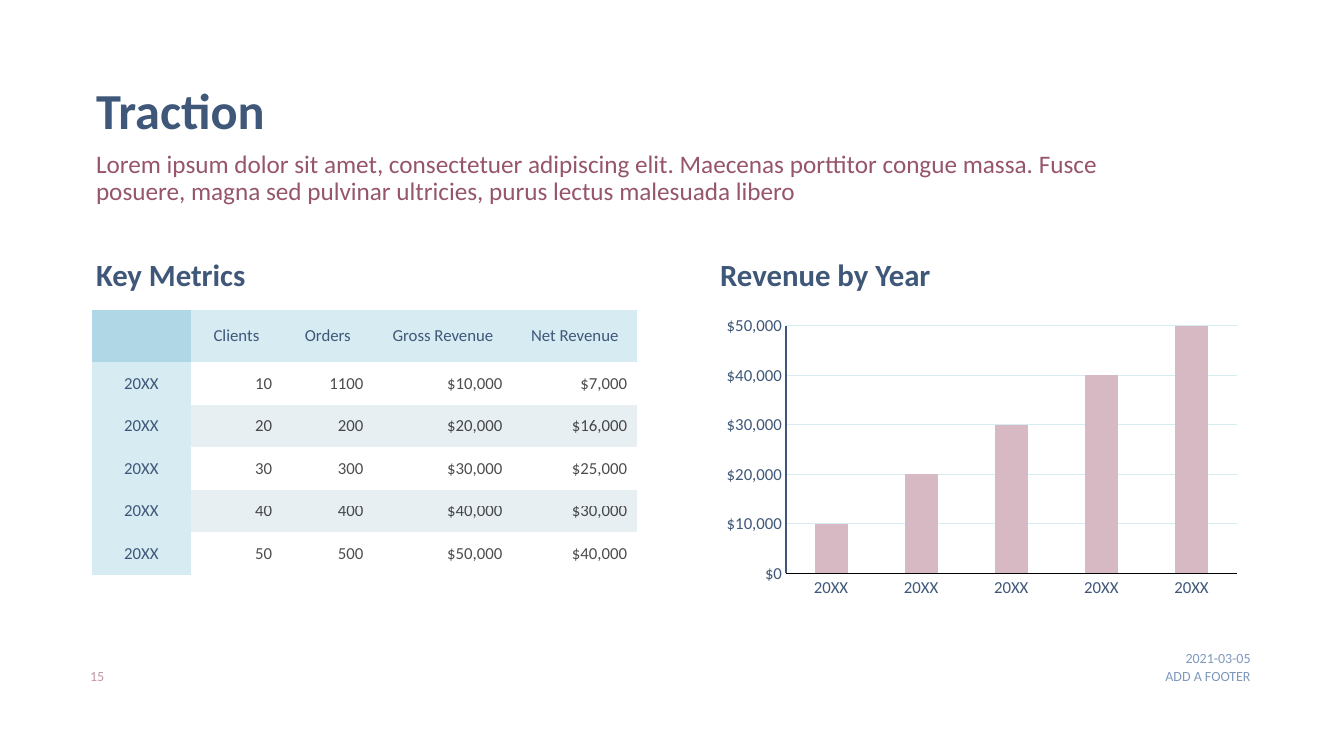
"""Build the Traction slide with its key metrics table and revenue chart."""
from dataclasses import dataclass
from typing import Any, Optional

import lxml.etree
import pptx
import pptx.chart.data
import pptx.dml.color
import pptx.enum.chart
import pptx.enum.text
import pptx.oxml.ns
import pptx.util

Pt = pptx.util.Pt
RGBColor = pptx.dml.color.RGBColor
Align = pptx.enum.text.PP_ALIGN
Anchor = pptx.enum.text.MSO_ANCHOR
qn = pptx.oxml.ns.qn

FONT = "Calibri"
NAVY = RGBColor(0x3F, 0x57, 0x79)
PLUM = RGBColor(0x96, 0x55, 0x6D)
ROSE = RGBColor(0xC3, 0x96, 0xA7)
STEEL = RGBColor(0x7E, 0x98, 0xBC)
BLACK = RGBColor(0, 0, 0)
WHITE = RGBColor(0xFF, 0xFF, 0xFF)
BROWN = RGBColor(0x85, 0x59, 0x39)
CORNER = RGBColor(0xAF, 0xD7, 0xE6)
PALE_BLUE = RGBColor(0xD7, 0xEB, 0xF2)
BAND = RGBColor(0xE8, 0xEF, 0xF3)
BAR = RGBColor(0xD7, 0xB9, 0xC4)

LEFT, RIGHT_HALF, HALF_WIDTH = 65.7, 511.5, 379.4
HEADING_TOP, CONTENT_TOP = 182.9, 221.4
NO_STYLE = "{2D5ABB26-0587-4C30-8999-92F81FD0307C}"
COLUMN_WIDTHS = (70.6, 65.3, 65.2, 99.3, 89.1)
HEADER_HEIGHT, ROW_HEIGHT = 37.4, 30.4
METRICS = (
    ("", "Clients", "Orders", "Gross Revenue", "Net Revenue"),
    ("20XX", "10", "1100", "$10,000", "$7,000"),
    ("20XX", "20", "200", "$20,000", "$16,000"),
    ("20XX", "30", "300", "$30,000", "$25,000"),
    ("20XX", "40", "400", "$40,000", "$30,000"),
    ("20XX", "50", "500", "$50,000", "$40,000"),
)
YEARS = ("20XX",) * 5
REVENUE_SERIES = (
    ("Series 1", (10000, 20000, 30000, 40000, 50000), BAR),
    ("Series 2", (None,) * 5, WHITE),
    ("Series 3", (None,) * 5, BROWN),
)


@dataclass(frozen=True)
class Label:
    """Text block; a placeholder index of None means a plain text box."""
    text: str
    left: float
    top: float
    width: float
    height: float
    size: float
    color: RGBColor
    placeholder: Optional[int] = None
    bold: bool = False
    anchor: Any = Anchor.TOP
    align: Any = Align.LEFT
    inset: float = 2.9
    line_spacing: float = 0.9


LABELS = (
    Label("Traction", LEFT, 58.3, 751, 44.6, 36, NAVY, 0, True, Anchor.MIDDLE),
    Label("Lorem ipsum dolor sit amet, consectetuer adipiscing elit. Maecenas porttitor "
          "congue massa. Fusce posuere, magna sed pulvinar ultricies, purus lectus "
          "malesuada libero", LEFT, 108.4, 751, 54.7, 18, PLUM, 2),
    Label("Key Metrics", LEFT, HEADING_TOP, HALF_WIDTH, 26.6, 22, NAVY, 1, True, Anchor.BOTTOM),
    Label("Revenue by Year", RIGHT_HALF, HEADING_TOP, HALF_WIDTH, 26.6, 22, NAVY, 3, True,
          Anchor.BOTTOM),
    Label("15", 50.4, 477, 31, 18.7, 10, ROSE, align=Align.CENTER, inset=7.2, line_spacing=1),
    Label("ADD A FOOTER", 569.3, 477, 324, 18.7, 10, STEEL, align=Align.RIGHT, inset=7.2,
          line_spacing=1),
    Label("2021-03-05", 808.3, 457.2, 85, 18.7, 10, STEEL, anchor=Anchor.BOTTOM,
          align=Align.RIGHT, inset=7.2, line_spacing=1),
)


def style_font(font: Any, size: float, color: RGBColor, bold: bool = False) -> None:
    """Apply the slide's typeface with a size, colour and weight."""
    font.name, font.size, font.bold = FONT, Pt(size), bold
    font.color.rgb = color


def draw_label(page: Any, label: Label) -> None:
    """Place one label in its placeholder or in a new text box."""
    bounds = [Pt(length) for length in (label.left, label.top, label.width, label.height)]
    if label.placeholder is None:
        box = page.shapes.add_textbox(*bounds)
    else:
        box = page.placeholders[label.placeholder]
        box.left, box.top, box.width, box.height = bounds
    frame = box.text_frame
    frame.word_wrap = True
    frame.auto_size = pptx.enum.text.MSO_AUTO_SIZE.NONE
    frame.vertical_anchor = label.anchor
    frame.margin_left = Pt(label.inset)
    frame.margin_top = frame.margin_right = frame.margin_bottom = Pt(0)
    para = frame.paragraphs[0]
    para.alignment, para.line_spacing, para.space_before = label.align, label.line_spacing, Pt(0)
    if label.placeholder:
        properties = para._p.get_or_add_pPr()
        properties.set("marL", "0")
        properties.set("indent", "0")
        lxml.etree.SubElement(properties, qn("a:buNone"))
    span = para.add_run()
    span.text = label.text
    style_font(span.font, label.size, label.color, label.bold)


def fill_cell(cell: Any, text: str, row: int, column: int) -> None:
    """Write one metric and colour its cell by position."""
    is_header = row == 0 or column == 0
    if is_header or row % 2 == 0:
        cell.fill.solid()
        cell.fill.fore_color.rgb = (
            CORNER if row == column == 0 else PALE_BLUE if is_header else BAND)
    else:
        cell.fill.background()
    cell.vertical_anchor = Anchor.MIDDLE
    if not text:
        return
    para = cell.text_frame.paragraphs[0]
    para.alignment = Align.CENTER if is_header else Align.RIGHT
    span = para.add_run()
    span.text = text
    style_font(span.font, 12, NAVY if is_header else BLACK)
    if not is_header:
        color = span._r.find(".//" + qn("a:srgbClr"))
        lxml.etree.SubElement(color, qn("a:alpha")).set("val", "70000")


def draw_metrics(page: Any) -> None:
    """Add the key metrics table."""
    height = HEADER_HEIGHT + ROW_HEIGHT * (len(METRICS) - 1)
    frame = page.shapes.add_table(len(METRICS), len(COLUMN_WIDTHS), Pt(LEFT), Pt(CONTENT_TOP),
                                  Pt(sum(COLUMN_WIDTHS)), Pt(height))
    table = frame.table
    table.horz_banding = False
    frame._element.find(".//" + qn("a:tableStyleId")).text = NO_STYLE
    for column, width in zip(table.columns, COLUMN_WIDTHS):
        column.width = Pt(width)
    for row, values in enumerate(METRICS):
        table.rows[row].height = Pt(ROW_HEIGHT if row else HEADER_HEIGHT)
        for column, text in enumerate(values):
            fill_cell(table.cell(row, column), text, row, column)


def draw_revenue(page: Any) -> None:
    """Add the revenue column chart."""
    revenue = pptx.chart.data.CategoryChartData()
    revenue.categories = YEARS
    for name, amounts, _ in REVENUE_SERIES:
        revenue.add_series(name, amounts)
    chart = page.shapes.add_chart(
        pptx.enum.chart.XL_CHART_TYPE.COLUMN_CLUSTERED, Pt(RIGHT_HALF), Pt(CONTENT_TOP),
        Pt(HALF_WIDTH), Pt(209.5), revenue).chart
    chart.has_legend = chart.has_title = False
    style_font(chart.font, 10, NAVY)
    plot = chart.plots[0]
    plot.gap_width, plot.overlap, plot.vary_by_categories = 174, 100, False
    for series, (_, _, color) in zip(plot.series, REVENUE_SERIES):
        series.format.fill.solid()
        series.format.fill.fore_color.rgb = color
    for axis, color in ((chart.category_axis, BLACK), (chart.value_axis, NAVY)):
        axis.major_tick_mark = axis.minor_tick_mark = pptx.enum.chart.XL_TICK_MARK.NONE
        style_font(axis.tick_labels.font, 12, NAVY)
        axis.format.line.color.rgb = color
        axis.format.line.width = Pt(0.75)
    values = chart.value_axis
    values.minimum_scale, values.maximum_scale, values.major_unit = 0, 50000, 10000
    values.tick_labels.number_format = "[$$-409]#,##0"
    values.tick_labels.number_format_is_linked = False
    values.major_gridlines.format.line.color.rgb = PALE_BLUE
    values.major_gridlines.format.line.width = Pt(0.75)


def main() -> None:
    """Build and save the deck."""
    deck = pptx.Presentation()
    deck.slide_width, deck.slide_height = Pt(960), Pt(540)
    page = deck.slides.add_slide(deck.slide_layouts.get_by_name("Comparison"))
    spare = page.placeholders[4]._element
    spare.getparent().remove(spare)
    for label in LABELS:
        draw_label(page, label)
    draw_metrics(page)
    draw_revenue(page)
    deck.save("out.pptx")


if __name__ == "__main__":
    main()
